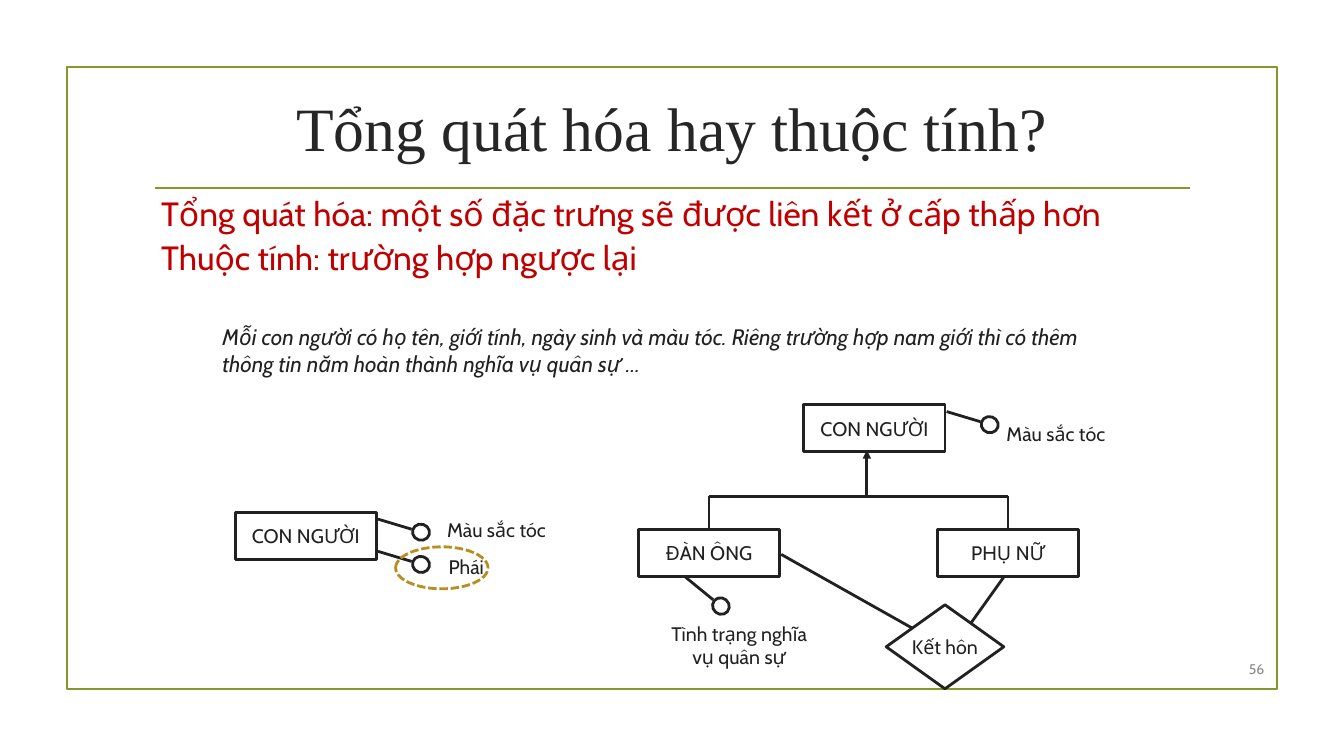
import pptx
import pptx.dml.color
import pptx.enum.dml
import pptx.enum.shapes
import pptx.enum.text
import pptx.oxml.ns
import pptx.util
import lxml.etree

RGB = pptx.dml.color.RGBColor
OLIVE = RGB(0x83, 0x99, 0x2A)
TITLE_GREY = RGB(0x26, 0x26, 0x26)
NUMBER_GREY = RGB(0x89, 0x89, 0x89)
RED = RGB(0xC0, 0x00, 0x00)
INK = RGB(0x21, 0x21, 0x21)
GOLD = RGB(0xB7, 0x8E, 0x20)
WHITE = RGB(0xFF, 0xFF, 0xFF)

SHAPE = pptx.enum.shapes.MSO_SHAPE
ALIGN = pptx.enum.text.PP_ALIGN
ANCHOR = pptx.enum.text.MSO_ANCHOR
DASH = pptx.enum.dml.MSO_LINE

COLUMNS, ROWS = 160, 90
SLIDE_WIDTH = pptx.util.Inches(13.33)
SLIDE_HEIGHT = pptx.util.Inches(7.5)
ENTITY_WIDTH, ENTITY_HEIGHT = 16.8, 5.6
CIRCLE_WIDTH, CIRCLE_HEIGHT = 2.04, 1.92
TEXT_INSETS = (0.1, 0.05)


def across(columns):
    """Turn grid columns into a slide length."""
    return round(SLIDE_WIDTH * columns / COLUMNS)


def down(rows):
    """Turn grid rows into a slide length."""
    return round(SLIDE_HEIGHT * rows / ROWS)


def place(box):
    """Turn a grid box into left, top, width and height."""
    left, top, width, height = box
    return across(left), down(top), across(width), down(height)


def write(frame, text, size=14, color=INK, font="Cabin", align=ALIGN.CENTER,
          anchor=ANCHOR.TOP, italic=False, after=0, insets=(0, 0), wrap=True):
    """Fill a text frame, one paragraph per line of text."""
    frame.word_wrap = wrap
    frame.vertical_anchor = anchor
    frame.margin_left = frame.margin_right = pptx.util.Inches(insets[0])
    frame.margin_top = frame.margin_bottom = pptx.util.Inches(insets[1])
    frame.text = text
    for paragraph in frame.paragraphs:
        paragraph.alignment = align
        paragraph.space_after = pptx.util.Pt(after)
        paragraph.font.size = pptx.util.Pt(size)
        paragraph.font.name = font
        paragraph.font.italic = italic
        paragraph.font.color.rgb = color


def add_text(slide, box, text, **style):
    """Add a text box."""
    write(slide.shapes.add_textbox(*place(box)).text_frame, text, **style)


def add_outline(slide, kind, box, color=INK, weight=2, fill=None, dash=None, rotation=0):
    """Add an outlined preset shape."""
    outline = slide.shapes.add_shape(kind, *place(box))
    outline.shadow.inherit = False
    if fill is None:
        outline.fill.background()
    else:
        outline.fill.solid()
        outline.fill.fore_color.rgb = fill
    outline.line.color.rgb = color
    outline.line.width = pptx.util.Pt(weight)
    outline.line.dash_style = dash
    outline.rotation = rotation
    return outline


def add_line(slide, start, end, color=INK, weight=2, arrow=False):
    """Add a straight line, with an arrowhead at its end if asked."""
    line = slide.shapes.add_connector(
        pptx.enum.shapes.MSO_CONNECTOR.STRAIGHT,
        across(start[0]), down(start[1]), across(end[0]), down(end[1]))
    line.line.color.rgb = color
    line.line.width = pptx.util.Pt(weight)
    properties = line._element.spPr
    if arrow:
        lxml.etree.SubElement(line.line._get_or_add_ln(),
                              pptx.oxml.ns.qn("a:tailEnd"), type="triangle")
    lxml.etree.SubElement(properties, pptx.oxml.ns.qn("a:effectLst"))


def add_entity(slide, left, top, name):
    """Add an entity rectangle with its name."""
    entity = add_outline(slide, SHAPE.RECTANGLE,
                         (left, top, ENTITY_WIDTH, ENTITY_HEIGHT), fill=WHITE)
    write(entity.text_frame, name, anchor=ANCHOR.MIDDLE, insets=(0, 0.05))


def add_circle(slide, left, top, rotation):
    """Add the small circle that stands for an attribute."""
    add_outline(slide, SHAPE.OVAL, (left, top, CIRCLE_WIDTH, CIRCLE_HEIGHT),
                rotation=rotation)


def add_attribute(slide, left, top, name, label_box):
    """Add a side attribute, with its label placed from the entity corner."""
    add_line(slide, (left + 17, top + 0.8), (left + 21, top + 2))
    add_circle(slide, left + 21.1, top + 1.4, 16.8)
    label_left, label_top, width, height = label_box
    add_text(slide, (left + label_left, top + label_top, width, height), name)


def draw_frame(slide, box):
    """Draw the border, title, rule and slide number."""
    left, top, width, height = box
    add_outline(slide, SHAPE.RECTANGLE, box, color=OLIVE, weight=1.25)
    add_line(slide, (left + 10.4, top + 14.4), (left + 133.7, top + 14.4), OLIVE, 1.25)
    add_text(slide, (left + 9, top + 0.2, 126, 13.7), "Tổng quát hóa hay thuộc tính?",
             size=44, font="Times New Roman", color=TITLE_GREY,
             anchor=ANCHOR.MIDDLE, insets=TEXT_INSETS)
    add_text(slide, (left + width - 7.4, top + height - 4.2, 7.1, 3.7), "56",
             size=10, color=NUMBER_GREY, align=ALIGN.RIGHT,
             anchor=ANCHOR.MIDDLE, insets=TEXT_INSETS)


def draw_statements(slide, box):
    """Write the two rules and the example under them."""
    left, top, width, height = box
    add_text(slide, (left, top, width, 11.4),
             "Tổng quát hóa: một số đặc trưng sẽ được liên kết ở cấp thấp hơn\n"
             "Thuộc tính: trường hợp ngược lại",
             size=24, color=RED, align=ALIGN.JUSTIFY, anchor=ANCHOR.MIDDLE,
             after=3, insets=TEXT_INSETS)
    add_text(slide, (left + 7.3, top + height - 7.7, 109.3, 7.7),
             "Mỗi con người có họ tên, giới tính, ngày sinh và màu tóc. "
             "Riêng trường hợp nam giới thì có thêm thông tin năm hoàn thành "
             "nghĩa vụ quân sự …",
             size=16, italic=True, align=ALIGN.LEFT, insets=TEXT_INSETS)


def draw_attribute_model(slide, box):
    """Draw the entity that keeps sex as an attribute."""
    left, top, width, height = box
    add_entity(slide, left, top, "CON NGƯỜI")
    add_attribute(slide, left, top, "Màu sắc tóc", (23.4, 0.7, 15.4, 3.7))
    add_attribute(slide, left, top + 3.84, "Phái", (24, 1.2, 7, 4))
    add_outline(slide, SHAPE.OVAL, (left + 19.1, top + height - 5, 11, 5),
                color=GOLD, dash=DASH.SQUARE_DOT)


def draw_generalization(slide, box):
    """Draw the person entity split into man and woman, joined by marriage."""
    left, top, width, height = box
    person = left + 19.7
    woman = left + 35.6
    children = top + 14.8
    bar = top + 10.9
    add_entity(slide, left, children, "ĐÀN ÔNG")
    centers = [child + ENTITY_WIDTH / 2 for child in (left, woman)]
    add_line(slide, (centers[0], bar), (centers[1], bar))
    for center in centers:
        add_line(slide, (center, bar), (center, children))
    add_line(slide, (left + 27.2, bar), (left + 27.2, top + 5.4), arrow=True)

    add_line(slide, (left + 5.6, top + 20.5), (left + 8.9, top + 23.2))
    add_circle(slide, left + 8.8, top + 23, 40)
    add_text(slide, (left + 3, top + 25.8, 18, 5.6), "Tình trạng nghĩa vụ quân sự")

    add_line(slide, (left + 44, top + 19.8), (left + 39, top + 26.8))
    add_line(slide, (left + 17, top + 17.8), (left + 33, top + 26.8))
    add_entity(slide, person, top, "CON NGƯỜI")
    add_attribute(slide, person, top, "Màu sắc tóc", (22.3, 2, 15.4, 3.7))
    marriage = add_outline(slide, SHAPE.DIAMOND,
                           (left + 29.5, top + height - 10, 14, 10), fill=WHITE)
    write(marriage.text_frame, "Kết hôn", anchor=ANCHOR.MIDDLE,
          insets=TEXT_INSETS, wrap=False)
    add_entity(slide, woman, children, "PHỤ NỮ")


def main():
    """Build the slide and save it."""
    deck = pptx.Presentation()
    deck.slide_width, deck.slide_height = SLIDE_WIDTH, SLIDE_HEIGHT
    slide = deck.slides.add_slide(deck.slide_layouts[6])
    draw_frame(slide, (8, 8, 144, 74))
    draw_statements(slide, (18, 22.3, 124, 23.3))
    draw_attribute_model(slide, (28, 61, 39, 9.1))
    draw_generalization(slide, (76, 48.2, 57.4, 33.8))
    deck.save("out.pptx")


if __name__ == "__main__":
    main()
